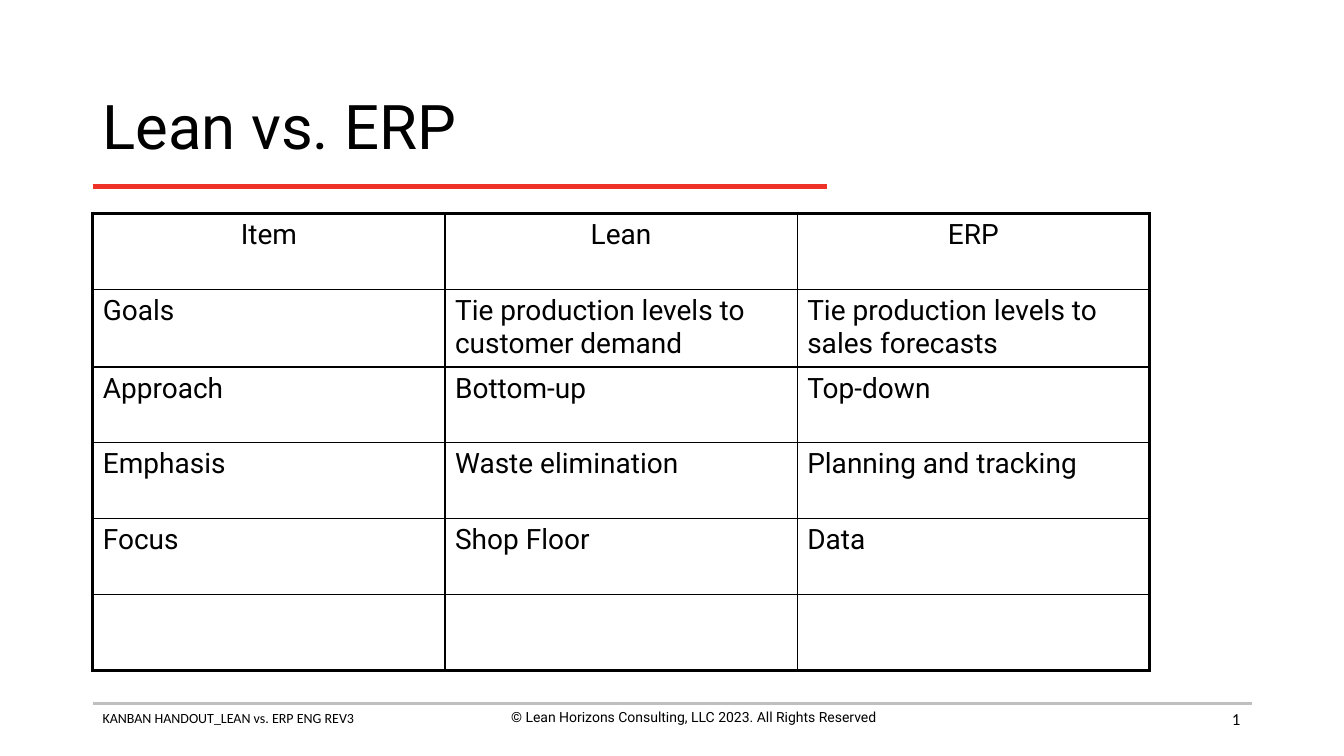
"""Build the Lean vs. ERP comparison slide."""
from lxml import etree
from pptx import Presentation
from pptx import util as u
from pptx.dml.color import RGBColor
from pptx.enum import shapes, text
from pptx.oxml import parse_xml
from pptx.oxml.ns import nsdecls, qn

COLORS = {"ink": "000000", "accent": "EE3228", "rule": "BFBFBF"}
LEFT, CENTER, RIGHT = text.PP_ALIGN.LEFT, text.PP_ALIGN.CENTER, text.PP_ALIGN.RIGHT
TOP, MIDDLE = text.MSO_ANCHOR.TOP, text.MSO_ANCHOR.MIDDLE


def style_text(para, font_name, size, align):
    para.alignment = align
    for span in para.runs:
        span.font.name = font_name
        span.font.size = u.Pt(size)
        span.font.color.rgb = RGBColor.from_string(COLORS["ink"])


deck = Presentation()
deck.slide_width, deck.slide_height = u.Inches(13.33), u.Inches(7.5)
page = deck.slides.add_slide(deck.slide_layouts[6])

for right, y, color, width in [(12.42, 6.98, "rule", 2), (8.2, 1.85, "accent", 3)]:
    line = page.shapes.add_connector(
        shapes.MSO_CONNECTOR.STRAIGHT,
        u.Inches(0.92), u.Inches(y), u.Inches(right), u.Inches(y))
    line.line.color.rgb = RGBColor.from_string(COLORS[color])
    line.line.width = u.Pt(width)
    etree.SubElement(line._element.spPr, qn("a:effectLst"))

labels = [
    ("KANBAN HANDOUT_LEAN vs. ERP ENG REV3", (0.92, 6.99, 4.56, 0.44), "Calibri", 10, LEFT, TOP),
    ("© Lean Horizons Consulting, LLC 2023. All Rights Reserved",
     (4.6, 6.98, 4.56, 0.44), "Roboto", 10, CENTER, TOP),
    ("Lean vs. ERP", (0.92, 0.74, 11.5, 1.1), "Roboto", 44, LEFT, MIDDLE),
    ("1", (9.4, 6.93, 3, 0.4), "Calibri", 12, RIGHT, MIDDLE),
]
for wording, place, font_name, size, align, anchor in labels:
    box = page.shapes.add_textbox(*map(u.Inches, place))
    box.text_frame.word_wrap = True
    box.text_frame.vertical_anchor = anchor
    para = box.text_frame.paragraphs[0]
    para.text = wording
    style_text(para, font_name, size, align)
    if size == 44:
        para.line_spacing = 0.9

rows = [
    ("Item", "Lean", "ERP"),
    ("Goals", "Tie production levels to customer demand", "Tie production levels to sales forecasts"),
    ("Approach", "Bottom-up", "Top-down"),
    ("Emphasis", "Waste elimination", "Planning and tracking"),
    ("Focus", "Shop Floor", "Data"),
    ("", "", ""),
]
last_row, last_column = len(rows) - 1, len(rows[0]) - 1
table = page.shapes.add_table(
    len(rows), len(rows[0]),
    u.Inches(0.92), u.Inches(2.12), u.Inches(10.48), u.Inches(4.52)).table
table.first_row = table.horz_banding = False

for row, wordings in enumerate(rows):
    for column, wording in enumerate(wordings):
        cell = table.cell(row, column)
        cell.fill.background()
        para = cell.text_frame.paragraphs[0]
        para.text = wording
        style_text(para, "Roboto", 20, CENTER if row == 0 else LEFT)
        outer_sides = {"L": column == 0, "R": column == last_column,
                       "T": row == 0, "B": row == last_row}
        for index, (side, outer) in enumerate(outer_sides.items()):
            width = u.Pt(2.25 if outer else 1)
            border = parse_xml(
                f'<a:ln{side} {nsdecls("a")} w="{width}"><a:solidFill>'
                f'<a:srgbClr val="{COLORS["ink"]}"/></a:solidFill></a:ln{side}>')
            cell._tc.get_or_add_tcPr().insert(index, border)

deck.save("out.pptx")
